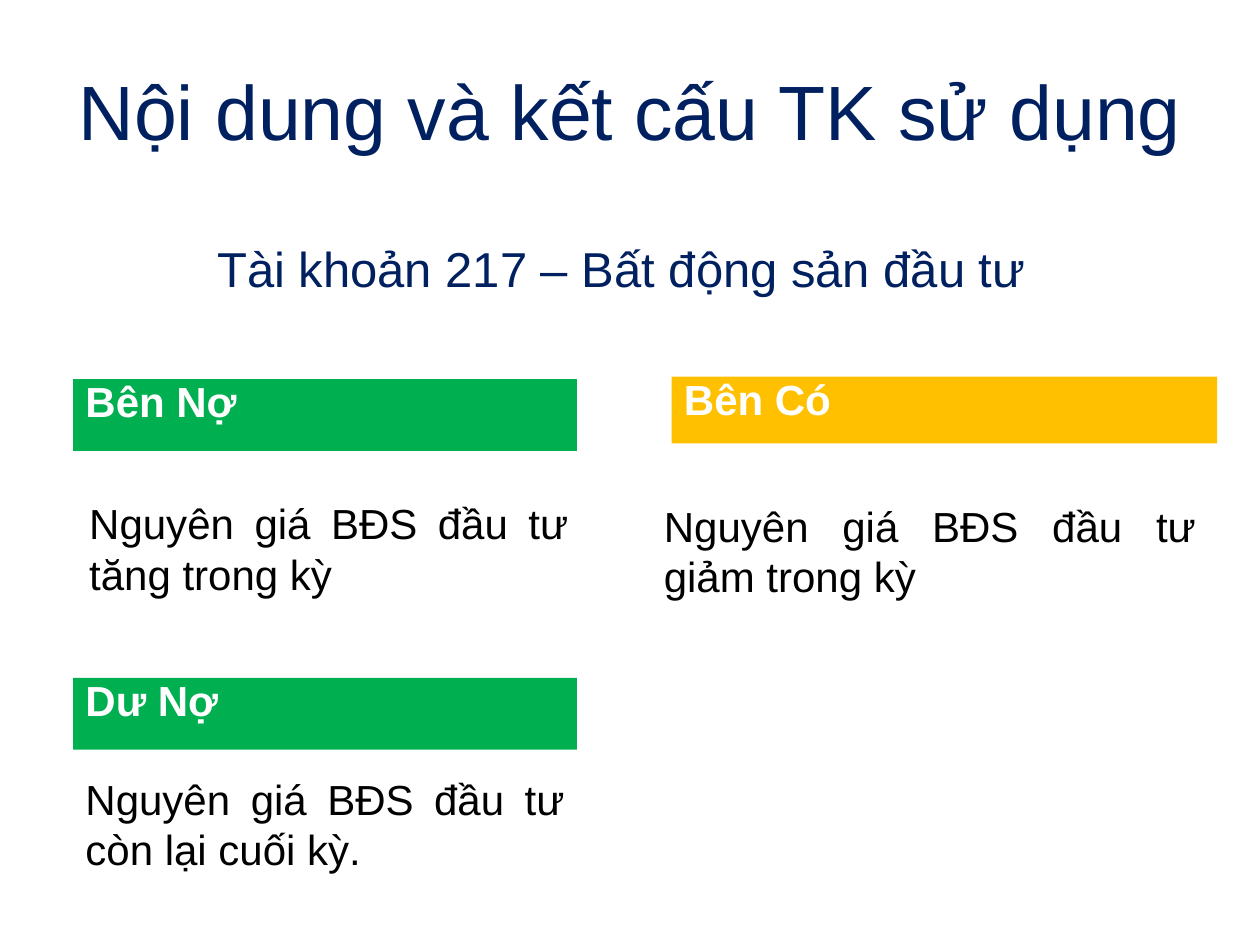
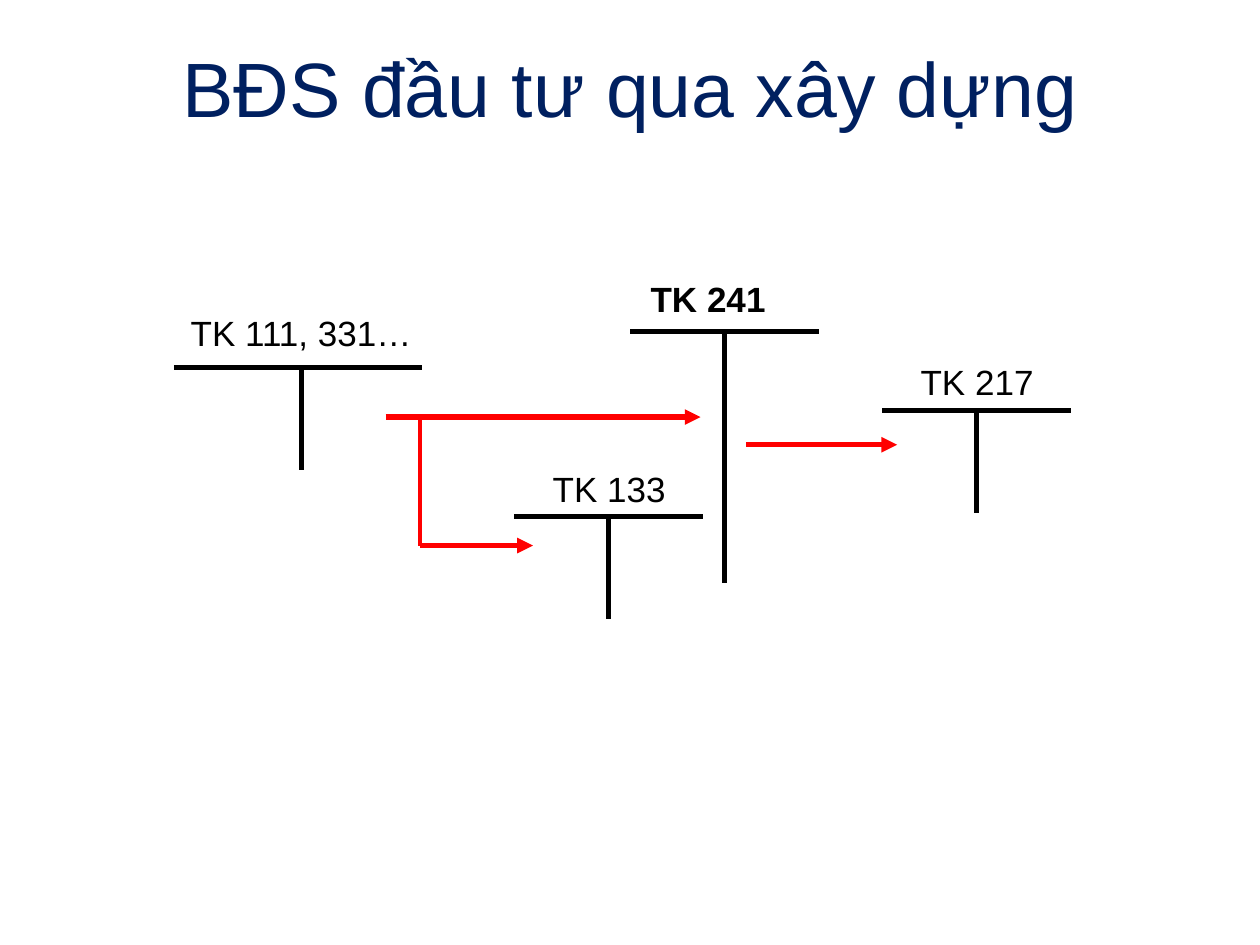
from dataclasses import dataclass
from typing import Optional

from lxml import etree
from pptx import Presentation
from pptx.dml.color import RGBColor
from pptx.enum.shapes import MSO_CONNECTOR, MSO_SHAPE
from pptx.enum.text import MSO_ANCHOR as Anchor, PP_ALIGN as Align
from pptx.oxml.ns import qn
from pptx.util import Inches, Pt


@dataclass(frozen=True)
class Theme:
    font: str = "Arial"
    navy: str = "002060"
    green: str = "00B050"
    amber: str = "FFC000"
    red: str = "FF0000"
    black: str = "000000"
    white: str = "FFFFFF"
    title: int = 44
    subtitle: int = 28
    body: int = 24
    label: int = 20
    account_line: float = 2.75
    flow_line: float = 3
    branch_line: float = 2.25


T = Theme()


@dataclass(frozen=True)
class Box:
    x: float
    y: float
    w: float
    h: float


@dataclass(frozen=True)
class Side:
    """One side of the account: coloured heading and its explanation."""
    heading: str
    color: str
    bar: Box
    text: str
    body: Box


@dataclass(frozen=True)
class Account:
    """A T-account: label, top line and stem."""
    name: str
    label: Box
    left: float
    right: float
    stem: float
    top: float
    depth: float = 0.81
    bold: bool = False


@dataclass(frozen=True)
class Flow:
    x1: float
    y1: float
    x2: float
    y2: float
    width: float = T.flow_line
    arrow: bool = True


TITLE_BOX = Box(0.42, 0.3, 9.17, 0.78)

SIDES = [
    Side("Bên Nợ", T.green, Box(0.58, 3.01, 4, 0.57),
         "Nguyên giá BĐS đầu tư tăng trong kỳ", Box(0.61, 3.9, 4, 0.91)),
    Side("Bên Có", T.amber, Box(5.33, 2.99, 4.33, 0.53),
         "Nguyên giá BĐS đầu tư giảm trong kỳ", Box(5.17, 3.92, 4.42, 0.91)),
    Side("Dư Nợ", T.green, Box(0.58, 5.38, 4, 0.57),
         "Nguyên giá BĐS đầu tư còn lại cuối kỳ.", Box(0.58, 6.09, 4, 0.91)),
]

ACCOUNTS = [
    Account("TK 111, 331…", Box(1.15, 2.42, 2.48, 0.44), 1.38, 3.35, 2.39, 2.92),
    Account("TK 241", Box(4.33, 2.15, 2.58, 0.44), 5, 6.5, 5.75, 2.63,
            depth=2, bold=True),
    Account("TK 133", Box(4.25, 3.66, 1.17, 0.44), 4.08, 5.58, 4.83, 4.1),
    Account("TK 217", Box(7.17, 2.81, 1.17, 0.44), 7, 8.5, 7.75, 3.26),
]

FLOWS = [
    Flow(3.06, 3.31, 5.56, 3.31),
    Flow(3.33, 3.31, 3.33, 4.33, T.branch_line, arrow=False),
    Flow(3.33, 4.33, 4.23, 4.33),
    Flow(5.92, 3.53, 7.12, 3.53),
]


def rgb(color: str) -> RGBColor:
    return RGBColor.from_string(color)


def place(box: Box) -> list:
    return [Inches(v) for v in (box.x, box.y, box.w, box.h)]


def write(sp, text: str, size: int, color: str, align: Align,
          anchor: Anchor = Anchor.TOP, bold: bool = False,
          spacing: Optional[float] = None) -> None:
    tf = sp.text_frame
    tf.word_wrap = True
    tf.vertical_anchor = anchor
    p = tf.paragraphs[0]
    p.alignment = align
    if spacing:
        p.line_spacing = spacing
    r = p.add_run()
    r.text = text
    r.font.name = T.font
    r.font.size = Pt(size)
    r.font.bold = bold
    r.font.color.rgb = rgb(color)


def add_text(s, box: Box, text: str, size: int, color: str, align: Align,
             **style) -> None:
    write(s.shapes.add_textbox(*place(box)), text, size, color, align, **style)


def add_title(s, text: str, spacing: Optional[float] = None) -> None:
    add_text(s, TITLE_BOX, text, T.title, T.navy, Align.CENTER,
             anchor=Anchor.MIDDLE, spacing=spacing)


def add_line(s, x1: float, y1: float, x2: float, y2: float, color: str,
             width: float, arrow: bool = False) -> None:
    ends = [Inches(v) for v in (x1, y1, x2, y2)]
    line = s.shapes.add_connector(MSO_CONNECTOR.STRAIGHT, *ends)
    line.line.color.rgb = rgb(color)
    line.line.width = Pt(width)
    if arrow:
        etree.SubElement(line.line._get_or_add_ln(), qn("a:tailEnd"),
                         type="triangle")
    etree.SubElement(line._element.spPr, qn("a:effectLst"))


def add_side(s, side: Side) -> None:
    bar = s.shapes.add_shape(MSO_SHAPE.RECTANGLE, *place(side.bar))
    bar.shadow.inherit = False
    bar.fill.solid()
    bar.fill.fore_color.rgb = rgb(side.color)
    bar.line.fill.background()
    write(bar, side.heading, T.body, T.white, Align.LEFT, bold=True, spacing=0.8)
    add_text(s, side.body, side.text, T.body, T.black, Align.JUSTIFY)


def add_account(s, a: Account) -> None:
    add_text(s, a.label, a.name, T.label, T.black, Align.CENTER, bold=a.bold)
    add_line(s, a.left, a.top, a.right, a.top, T.black, T.account_line)
    add_line(s, a.stem, a.top, a.stem, a.top + a.depth, T.black, T.account_line)


def build_structure(s) -> None:
    add_title(s, "Nội dung và kết cấu TK sử dụng", spacing=1.5)
    add_text(s, Box(0.62, 1.65, 8.62, 0.95), "Tài khoản 217 – Bất động sản đầu tư",
             T.subtitle, T.navy, Align.CENTER, anchor=Anchor.MIDDLE)
    for side in SIDES:
        add_side(s, side)


def build_construction(s) -> None:
    add_title(s, "BĐS đầu tư qua xây dựng")
    for account in ACCOUNTS:
        add_account(s, account)
    for f in FLOWS:
        add_line(s, f.x1, f.y1, f.x2, f.y2, T.red, f.width, f.arrow)


def main() -> None:
    prs = Presentation()
    prs.slide_width, prs.slide_height = Inches(10), Inches(7.5)
    blank = prs.slide_layouts[6]
    for build in (build_structure, build_construction):
        build(prs.slides.add_slide(blank))
    prs.save("out.pptx")


if __name__ == "__main__":
    main()
